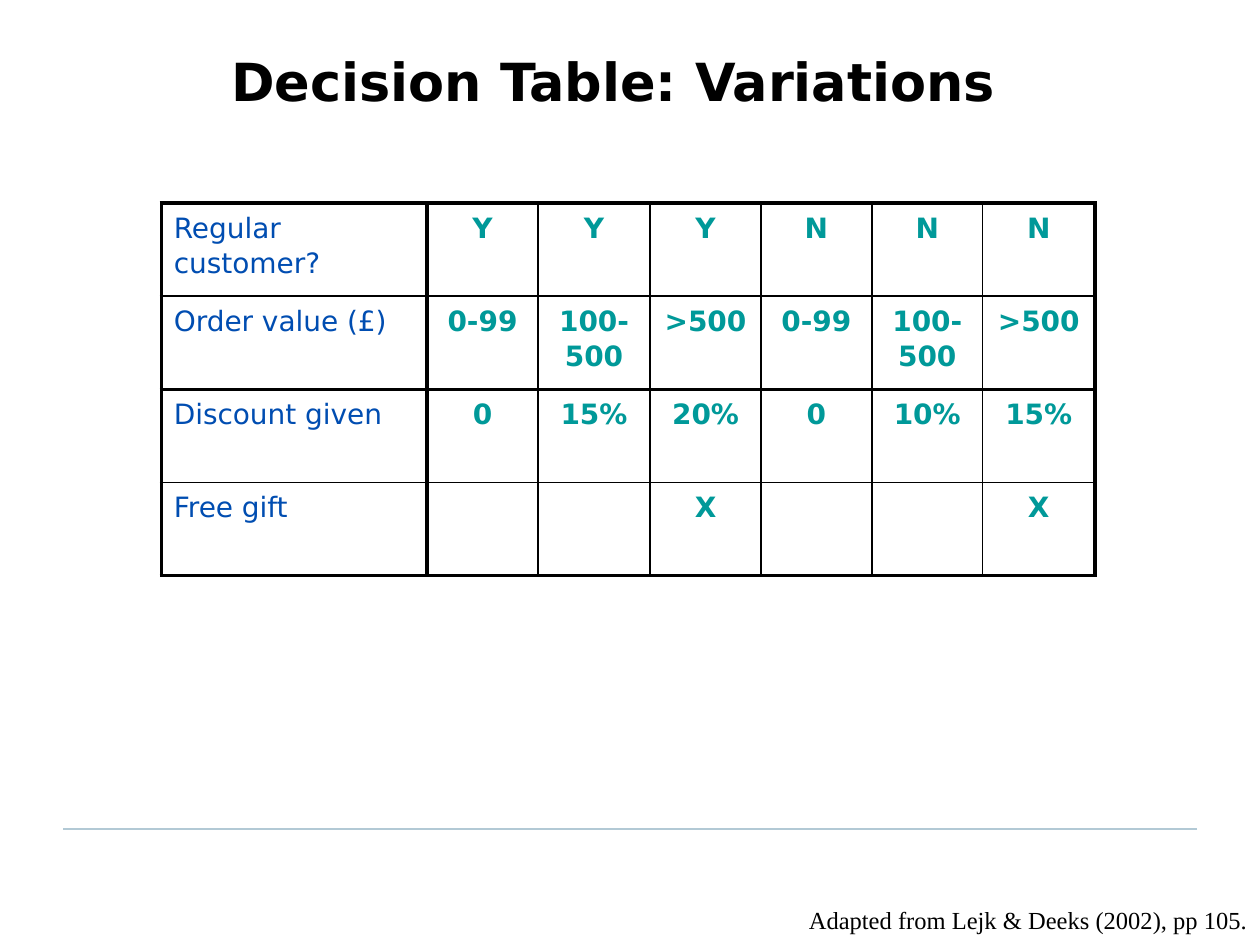
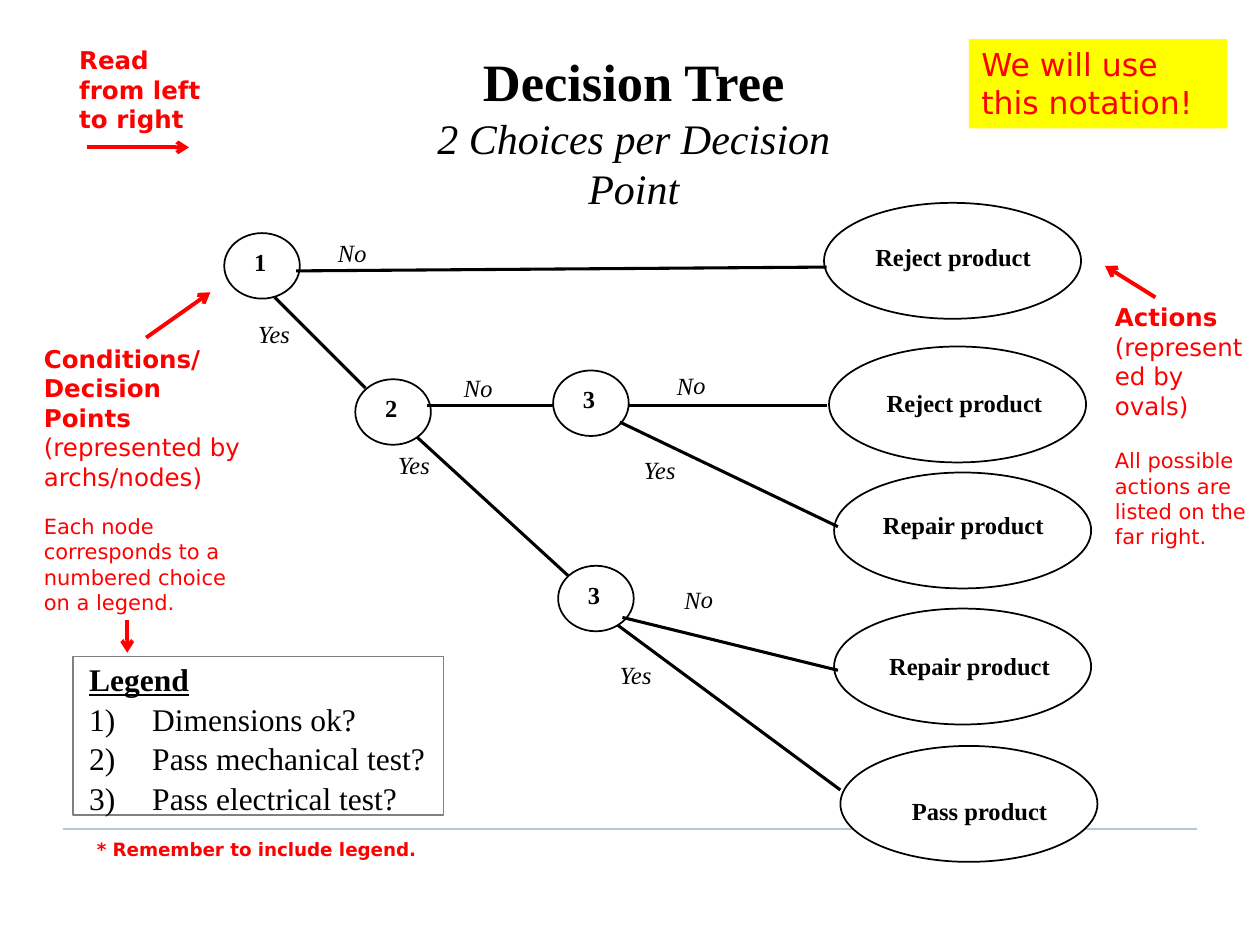
"""Build two slides on decision tables and decision trees."""
import pptx
import pptx.dml.color
import pptx.enum.shapes
import pptx.enum.text
import pptx.oxml
import pptx.oxml.ns
import pptx.util

PX = 9144
SANS, SERIF = "DejaVu Sans", "Times New Roman"
BLACK, WHITE, RED, YELLOW = "000000", "FFFFFF", "FF0000", "FFFF00"
BLUE, TEAL, GREY, RULE = "004DB1", "009999", "808080", "B2C9D5"
ALIGN = pptx.enum.text.PP_ALIGN
SHAPE = pptx.enum.shapes.MSO_SHAPE


def px(*lengths):
    return [pptx.util.Emu(length * PX) for length in lengths]


def color(hex_value):
    return pptx.dml.color.RGBColor.from_string(hex_value)


def xml(markup):
    tag, _, rest = markup.partition(" ")
    return pptx.oxml.parse_xml(f'<a:{tag} {pptx.oxml.ns.nsdecls("a")} {rest}')


def write(frame, paragraphs, size=14, face=SERIF, ink=BLACK, bold=False, italic=False,
          align=ALIGN.LEFT, spacing=None, gap=0, numbered=False, wrap=True):
    """Fill a frame; each paragraph is a list of (text, overrides) runs."""
    frame.word_wrap = wrap
    for index, runs in enumerate(paragraphs):
        paragraph = frame.paragraphs[0] if index == 0 else frame.add_paragraph()
        paragraph.alignment = align
        if spacing:
            paragraph.line_spacing = spacing
        if index and gap:
            paragraph.space_before = pptx.util.Pt(gap)
        if index and numbered:
            properties = paragraph._p.get_or_add_pPr()
            properties.set("marL", str(50 * PX))
            properties.set("indent", str(-50 * PX))
            properties.append(xml('buAutoNum type="arabicParenR"/>'))
        for text, changes in runs:
            look = dict(size=size, bold=bold, italic=italic, underline=False) | changes
            run = paragraph.add_run()
            run.text = text
            run.font.name = face
            run.font.color.rgb = color(ink)
            run.font.size = pptx.util.Pt(look["size"])
            run.font.bold = look["bold"]
            run.font.italic = look["italic"]
            run.font.underline = look["underline"]


class Deck:
    """Holds the shared style and the current slide."""

    def __init__(self):
        self.show = pptx.Presentation()
        self.show.slide_width, self.show.slide_height = px(1000, 750)

    def new_slide(self):
        self.slide = self.show.slides.add_slide(self.show.slide_layouts[6])
        self.line((950, 658), (50, 658), RULE, 1.25)

    def line(self, start, end, ink=BLACK, weight=1.75, arrow=False):
        connector = self.slide.shapes.add_connector(
            pptx.enum.shapes.MSO_CONNECTOR.STRAIGHT, *px(*start, *end))
        connector.line.color.rgb = color(ink)
        connector.line.width = pptx.util.Pt(weight)
        if arrow:
            connector.line._get_or_add_ln().append(xml('tailEnd type="arrow"/>'))
        connector._element.spPr.append(xml("effectLst />"))

    def text(self, box, *paragraphs, rotation=0, **look):
        holder = self.slide.shapes.add_textbox(*px(*box))
        holder.rotation = rotation
        write(holder.text_frame, paragraphs, **look)

    def label(self, box, text, **look):
        self.text(box, [(text, {})], **look)

    def title(self, box, *paragraphs, face=SERIF):
        self.text(box, *paragraphs, size=30, face=face, bold=True,
                  align=ALIGN.CENTER, wrap=False)

    def shape(self, kind, box, fill=WHITE, outline=BLACK):
        shape = self.slide.shapes.add_shape(kind, *px(*box))
        shape.shadow.inherit = False
        shape.fill.solid()
        shape.fill.fore_color.rgb = color(fill)
        if outline:
            shape.line.color.rgb = color(outline)
            shape.line.width = pptx.util.Pt(1)
        else:
            shape.line.fill.background()
        return shape

    def table(self, left, top, widths, height, rows, thick_rows, thick_columns):
        frame = self.slide.shapes.add_table(
            len(rows), len(widths), *px(left, top, sum(widths), height * len(rows)))
        table = frame.table
        table.first_row = table.horz_banding = False
        for column, width in zip(table.columns, widths):
            column.width = px(width)[0]
        for r, row in enumerate(rows):
            table.rows[r].height = px(height)[0]
            for c, value in enumerate(row):
                cell = table.cell(r, c)
                look = (dict(ink=TEAL, bold=True, align=ALIGN.CENTER) if c
                        else dict(ink=BLUE))
                if value:
                    write(cell.text_frame, [[(value, {})]], size=16, face=SANS,
                          spacing=1.1, **look)
                edges = {"lnL": c in thick_columns, "lnR": c + 1 in thick_columns,
                         "lnT": r in thick_rows, "lnB": r + 1 in thick_rows}
                for edge, thick in edges.items():
                    width = pptx.util.Pt(2.25 if thick else 1)
                    cell._tc.get_or_add_tcPr().append(xml(
                        f'{edge} w="{width}"><a:solidFill><a:srgbClr val="{BLACK}"/>'
                        f'</a:solidFill></a:{edge}>'))
                cell.fill.background()


def decision_table(deck):
    deck.new_slide()
    deck.title((65, 34, 844, 60), [("Decision Table: Variations", {})], face=SANS)
    rules = [
        ["Regular customer?", "Y", "Y", "Y", "N", "N", "N"],
        ["Order value (£)", "0-99", "100-500", ">500", "0-99", "100-500", ">500"],
        ["Discount given", "0", "15%", "20%", "0", "10%", "15%"],
        ["Free gift", "", "", "X", "", "", "X"],
    ]
    deck.table(128, 161, [211, 88, 89, 88, 88, 88, 89], 74, rules,
               thick_rows=(0, 2, 4), thick_columns=(0, 1, 7))
    deck.label((123, 713, 877, 37), "Adapted from Lejk & Deeks (2002), pp 105.",
               align=ALIGN.RIGHT)


def decision_tree(deck):
    deck.new_slide()
    deck.title((297, 34, 412, 100), [("Decision Tree", {})],
               [("2 Choices per Decision Point", dict(size=24, bold=False, italic=True))])

    deck.shape(SHAPE.RECTANGLE, (58, 521, 294, 126), outline=GREY)
    choices = ["Dimensions ok?", "Pass mechanical test?", "Pass electrical test?"]
    deck.text((61, 519, 298, 139), [("Legend", dict(bold=True, underline=True))],
              *[[(choice, {})] for choice in choices], size=18, gap=1, numbered=True)

    nodes = [(178, 185, "1"), (282, 301, "2"), (439, 294, "3"), (443, 449, "3")]
    for left, top, number in nodes:
        deck.shape(SHAPE.OVAL, (left, top, 60, 52))
        deck.label((left + 8, top + 6, 41, 58), number, bold=True, align=ALIGN.CENTER)

    actions = [
        (654, 161, 17, 26, "Reject product"),
        (658, 275, 22, 28, "Reject product"),
        (662, 375, 17, 25, "Repair product"),
        (662, 483, 22, 29, "Repair product"),
        (667, 592, 25, 35, "Pass product"),
    ]
    for left, top, dx, dy, action in actions:
        deck.shape(SHAPE.OVAL, (left, top, 204, 92))
        deck.label((left + dx, top + dy, 171, 40), action, bold=True, align=ALIGN.CENTER)

    branches = [
        ((656, 212), (235, 215), (240, 184), "No"),
        ((290, 308), (218, 236), (178, 248), "Yes"),
        ((439, 322), (339, 322), (340, 291), "No"),
        ((451, 457), (331, 347), (289, 352), "Yes"),
        ((656, 322), (499, 322), (509, 289), "No"),
        ((665, 418), (492, 335), (484, 356), "Yes"),
        ((665, 532), (494, 490), (515, 459), "No"),
        ((667, 627), (490, 496), (465, 519), "Yes"),
    ]
    for start, end, corner, answer in branches:
        deck.line(start, end)
        deck.label((*corner, 79, 33), answer, italic=True, align=ALIGN.CENTER,
                   rotation=-0.8)

    hint = dict(face=SANS, ink=RED)
    notation = deck.shape(SHAPE.RECTANGLE, (769, 31, 205, 71), YELLOW, None)
    notation.text_frame.vertical_anchor = pptx.enum.text.MSO_ANCHOR.TOP
    write(notation.text_frame, [[("We will use this notation!", {})]], size=18, **hint)
    strong, small = dict(bold=True), dict(size=12)
    deck.text((25, 268, 183, 251),
              [("Conditions/ Decision Points ", strong),
               ("(represented by archs/nodes)", {})],
              [("Each node corresponds to a numbered choice on a legend.", small)],
              gap=13, **hint)
    deck.text((875, 235, 125, 251),
              [("Actions ", strong), ("(represented by ovals)", {})],
              [("All possible actions are listed on the far right.", small)],
              gap=16, **hint)
    deck.label((67, 660, 293, 48), "* Remember to include legend.",
               size=10.5, bold=True, **hint)
    deck.label((53, 31, 125, 135), "Read from left to right", bold=True, **hint)
    pointers = [((116, 268), (167, 232)), ((101, 492), (101, 518)),
                ((917, 236), (877, 211)), ((69, 117), (150, 117))]
    for start, end in pointers:
        deck.line(start, end, RED, 2.25, arrow=True)


def main():
    deck = Deck()
    decision_table(deck)
    decision_tree(deck)
    deck.show.save("out.pptx")


if __name__ == "__main__":
    main()
